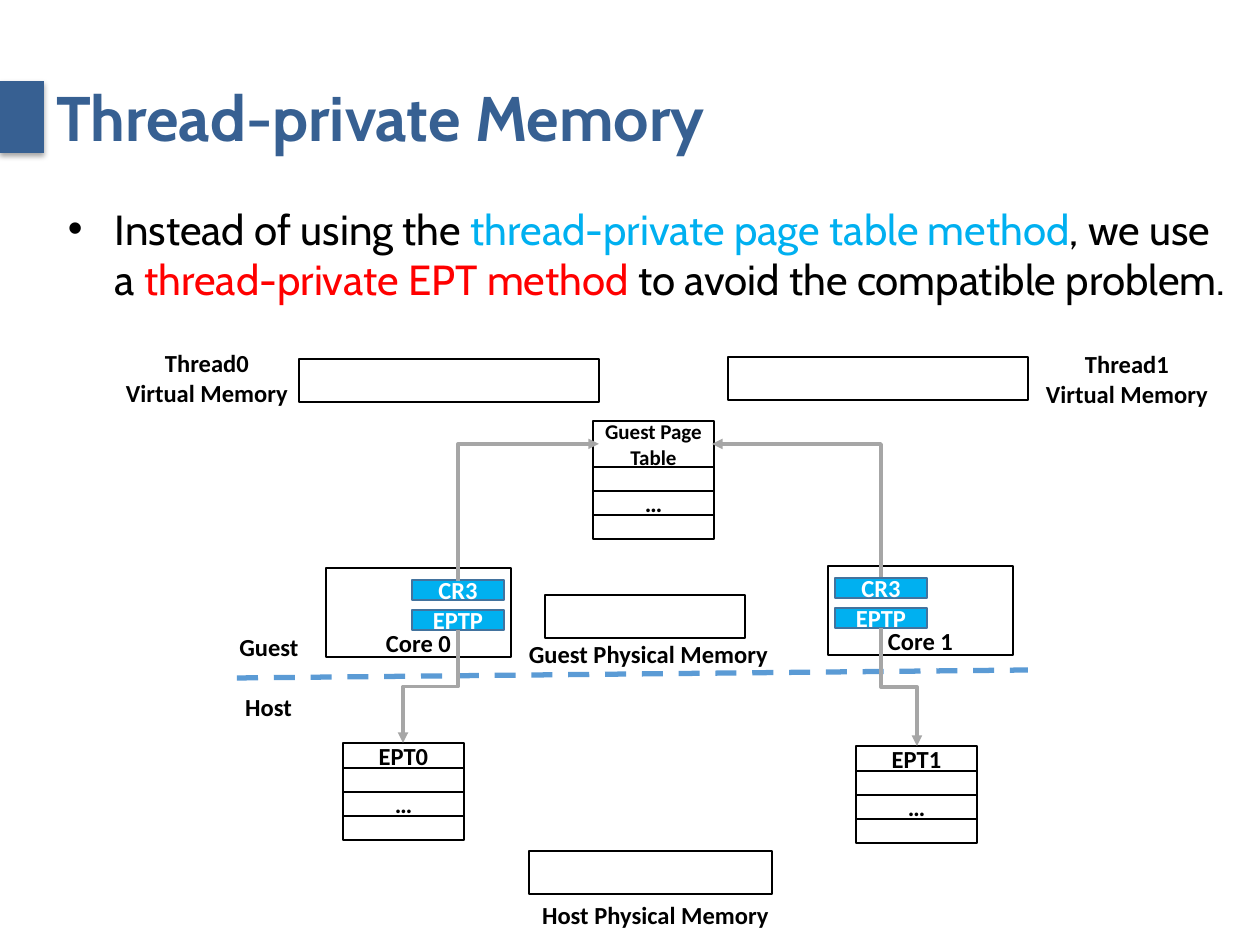
from lxml.etree import SubElement
from pptx import Presentation
from pptx.dml.color import RGBColor
from pptx.enum.dml import MSO_LINE
from pptx.enum.shapes import MSO_CONNECTOR, MSO_SHAPE
from pptx.enum.text import MSO_ANCHOR, PP_ALIGN
from pptx.oxml.ns import qn
from pptx.util import Pt

PX = 914400 // 126
NAVY = RGBColor(0x37, 0x60, 0x92)
BLACK = RGBColor(0, 0, 0)
WHITE = RGBColor(255, 255, 255)
SKY = RGBColor(0x00, 0xB0, 0xF0)
RED = RGBColor(255, 0, 0)
CHIP_EDGE = RGBColor(0x43, 0x73, 0x9E)
DIVIDER = RGBColor(0x5B, 0x9B, 0xD5)
GREY = RGBColor(0xA6, 0xA6, 0xA6)

deck = Presentation()
deck.slide_width, deck.slide_height = 1260 * PX, 945 * PX
page = deck.slides.add_slide(deck.slide_layouts[6])


def write(box, lines, anchor=MSO_ANCHOR.MIDDLE, align=PP_ALIGN.CENTER, inset=(0, 0), **font):
    """Fill a box with paragraphs, each a list of (text, colour) spans."""
    frame = box.text_frame
    across, down = inset
    layout = {"word_wrap": True, "vertical_anchor": anchor,
              "margin_left": across * PX, "margin_right": across * PX,
              "margin_top": down * PX, "margin_bottom": down * PX}
    for name, value in layout.items():
        setattr(frame, name, value)
    style = {"name": "Calibri", "size": Pt(14), "bold": True} | font
    for index, spans in enumerate(lines):
        para = frame.add_paragraph() if index else frame.paragraphs[0]
        para.alignment = align
        for text, color in spans:
            span = para.add_run()
            span.text = text
            span.font.color.rgb = color
            for name, value in style.items():
                setattr(span.font, name, value)


def rectangle(left, top, width, height, fill=None, edge=BLACK):
    box = page.shapes.add_shape(MSO_SHAPE.RECTANGLE, left * PX, top * PX, width * PX, height * PX)
    box.shadow.inherit = False
    if fill is None:
        box.fill.background()
    else:
        box.fill.solid()
        box.fill.fore_color.rgb = fill
    if edge is None:
        box.line.fill.background()
    else:
        box.line.color.rgb = edge
        box.line.width = Pt(1)
    return box


# Title with its accent bar
title = page.shapes.add_textbox(43 * PX, 69 * PX, 1191 * PX, 95 * PX)
write(title, [[("Thread-private Memory", NAVY)]], align=PP_ALIGN.LEFT, inset=(13, 6),
      name="Cabin", size=Pt(36))
bar = rectangle(0, 81, 44, 72, NAVY, None)
effects = bar.element.spPr.find(qn("a:effectLst"))
shadow = SubElement(effects, qn("a:outerShdw"), blurRad=str(Pt(3.1)), dist=str(Pt(1.8)),
                    dir="5400000", rotWithShape="0")
shade = SubElement(shadow, qn("a:srgbClr"), val="000000")
SubElement(shade, qn("a:alpha"), val="35000")

# Bullet
body = page.shapes.add_textbox(55 * PX, 197 * PX, 1197 * PX, 120 * PX)
write(body, [[("Instead of using the ", BLACK), ("thread-private page table method", SKY),
              (", we use a ", BLACK), ("thread-private EPT method", RED),
              (" to avoid the compatible problem.", BLACK)]],
      anchor=MSO_ANCHOR.TOP, align=PP_ALIGN.LEFT, inset=(13, 6),
      name="Cabin", size=Pt(24), bold=False)
properties = body.text_frame.paragraphs[0]._p.get_or_add_pPr()
properties.set("marL", str(47 * PX))
properties.set("indent", str(-47 * PX))
SubElement(properties, qn("a:buFont"), typeface="Arial")
SubElement(properties, qn("a:buChar"), char="•")

# Memory ranges
for left, top, width in [(299, 359, 300), (728, 357, 300), (545, 595, 200), (529, 851, 243)]:
    rectangle(left, top, width, 43)

# Labels
for left, top, width, lines in [
    (50, 348, 314, ["Thread0", "Virtual Memory"]),
    (970, 349, 314, ["Thread1", "Virtual Memory"]),
    (217, 617, 104, ["Guest"]),
    (207, 677, 123, ["Host"]),
    (515, 624, 267, ["Guest Physical Memory"]),
    (522, 885, 267, ["Host Physical Memory"]),
]:
    label = page.shapes.add_textbox(left * PX, top * PX, width * PX, 59 * PX)
    write(label, [[(line, BLACK)] for line in lines])

# Page tables, stacked from the bottom row up so the text stays on top
for left, top, head, head_height, size in [
    (593, 421, "Guest Page Table", 46, 12),
    (343, 743, "EPT0", 25, 14),
    (856, 746, "EPT1", 25, 14),
]:
    bottom = top + head_height + 3 * 24
    for text, height, points in [("", 24, 14), ("…", 24, 14), ("", 24, 14),
                                 (head, head_height, size)]:
        bottom -= height
        cell = rectangle(left, bottom, 121, height, None if text else WHITE)
        if text:
            write(cell, [[(text, BLACK)]], size=Pt(points))

# Guest and host divider
divider = page.shapes.add_connector(MSO_CONNECTOR.STRAIGHT, 237 * PX, 678 * PX, 1028 * PX, 670 * PX)
divider.line.color.rgb = DIVIDER
divider.line.width = Pt(3)
divider.line.dash_style = MSO_LINE.DASH
SubElement(divider.element.spPr, qn("a:effectLst"))

# Cores with their registers
for name, left, top, chip_left in [("Core 0", 326, 568, 412), ("Core 1", 828, 566, 835)]:
    for register, offset in [("CR3", 12), ("EPTP", 42)]:
        chip = rectangle(chip_left, top + offset, 92, 20, SKY, CHIP_EDGE)
        write(chip, [[(register, WHITE)]])
    core = rectangle(left, top, 185, 89)
    write(core, [[(name, BLACK)]], anchor=MSO_ANCHOR.BOTTOM)

# Elbow arrows: a quarter turn swaps width and height around the centre
for start, end, preset, turn, flips in [
    ((881, 577), (712, 444), "bentConnector2", 270, ["flipV"]),
    ((458, 581), (599, 444), "bentConnector2", 90, ["flipH", "flipV"]),
    ((881, 628), (917, 746), "bentConnector3", 270, ["flipH"]),
    ((458, 630), (403, 743), "bentConnector3", 90, []),
]:
    (x1, y1), (x2, y2) = start, end
    width, height = abs(y2 - y1) * PX, abs(x2 - x1) * PX
    left, top = ((x1 + x2) * PX - width) // 2, ((y1 + y2) * PX - height) // 2
    arrow = page.shapes.add_connector(MSO_CONNECTOR.ELBOW, left, top, left + width, top + height)
    arrow.line.color.rgb = GREY
    arrow.line.width = Pt(2)
    SubElement(arrow.line._get_or_add_ln(), qn("a:tailEnd"), type="triangle")
    outline = arrow.element.spPr
    SubElement(outline, qn("a:effectLst"))
    outline.find(qn("a:prstGeom")).set("prst", preset)
    frame = outline.find(qn("a:xfrm"))
    frame.set("rot", str(turn * 60000))
    for flip in flips:
        frame.set(flip, "1")

deck.save("out.pptx")
